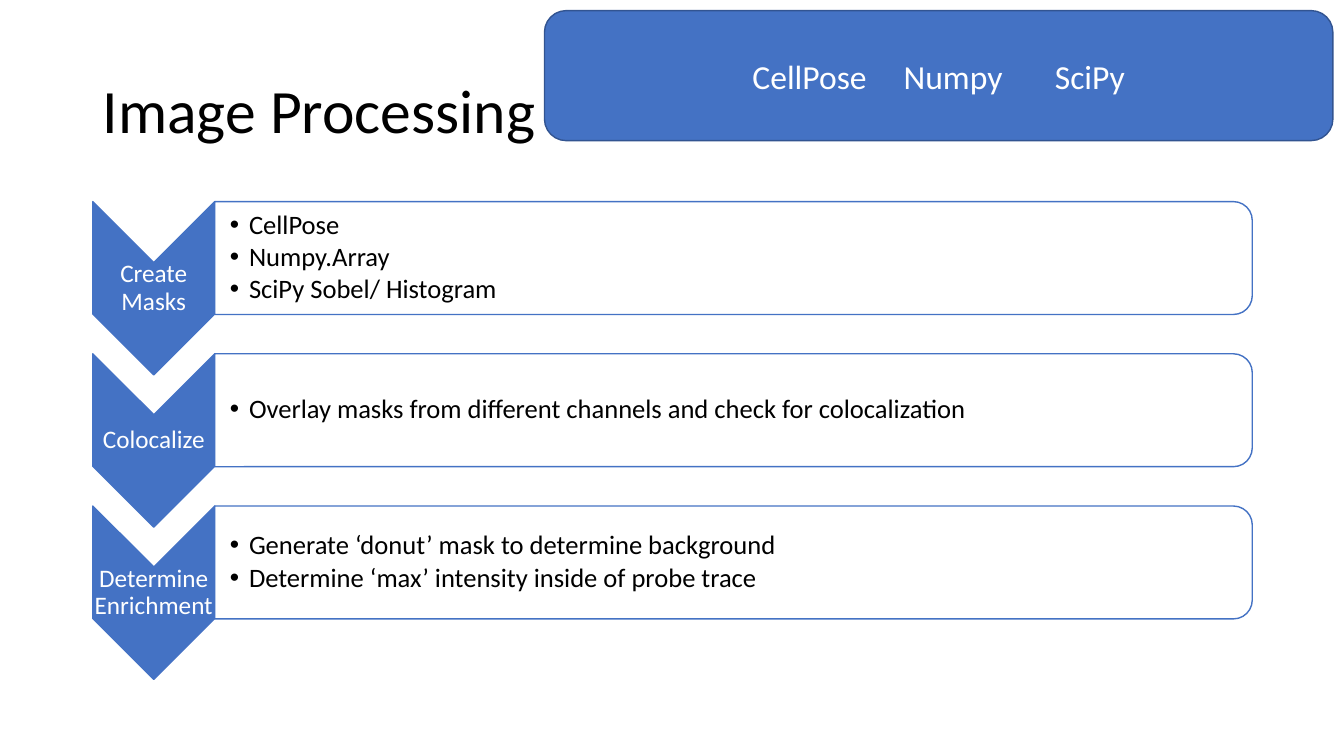
from lxml.etree import SubElement
from pptx import Presentation
from pptx.dml.color import RGBColor
from pptx.enum.shapes import MSO_SHAPE
from pptx.enum.text import MSO_ANCHOR, MSO_AUTO_SIZE, PP_ALIGN
from pptx.oxml.ns import qn
from pptx.util import Inches, Pt

BLUE, DARK_BLUE, WHITE, BLACK = "4472C4", "325491", "FFFFFF", "000000"

deck = Presentation()
deck.slide_width, deck.slide_height = Inches(13.33), Inches(7.5)
slide = deck.slides.add_slide(deck.slide_layouts[5])


def write(holder, lines, size, color=WHITE, align=PP_ALIGN.CENTER,
          spacing=0.9, after=0, insets=None, bullet_indent=None):
    """Fill a shape with one formatted paragraph per line."""
    frame = holder.text_frame
    frame.word_wrap = True
    frame.auto_size = MSO_AUTO_SIZE.NONE
    frame.vertical_anchor = MSO_ANCHOR.MIDDLE
    if insets:
        (frame.margin_left, frame.margin_top,
         frame.margin_right, frame.margin_bottom) = map(Inches, insets)
    for index, line in enumerate(lines):
        paragraph = frame.add_paragraph() if index else frame.paragraphs[0]
        paragraph.alignment = align
        paragraph.line_spacing = spacing
        paragraph.space_after = Pt(after)
        run = paragraph.add_run()
        run.text = line
        run.font.name, run.font.size = "Calibri", Pt(size)
        run.font.color.rgb = RGBColor.from_string(color)
        if bullet_indent:
            properties = paragraph._p.get_or_add_pPr()
            properties.set("marL", str(Inches(bullet_indent)))
            properties.set("indent", str(-Inches(bullet_indent)))
            SubElement(properties, qn("a:buFont"), typeface="Arial")
            SubElement(properties, qn("a:buChar"), char="•")


def draw(preset, center_x, center_y, width, height, fill, line, turn=0):
    """Add a preset shape around its centre, turned by some degrees."""
    shape = slide.shapes.add_shape(
        preset, Inches(center_x - width / 2), Inches(center_y - height / 2),
        Inches(width), Inches(height))
    shape.rotation = turn
    shape.shadow.inherit = False
    shape.fill.solid()
    shape.fill.fore_color.rgb = RGBColor.from_string(fill)
    shape.line.color.rgb = RGBColor.from_string(line)
    shape.line.width = Pt(1)
    return shape


# Title
title = slide.shapes.title
title.left, title.top, title.width, title.height = map(
    Inches, (0.92, 0.4, 11.5, 1.45))
write(title, ["Image Processing"], 44, BLACK, PP_ALIGN.LEFT)

# Steps: a downward chevron and a panel of details in each row
steps = [
    ("Create Masks", ["CellPose", "Numpy.Array", "SciPy Sobel/ Histogram"]),
    ("Colocalize",
     ["Overlay masks from different channels and check for colocalization"]),
    ("Determine Enrichment",
     ["Generate ‘donut’ mask to determine background",
      "Determine ‘max’ intensity inside of probe trace"]),
]
LEFT, TOP, ROW_PITCH = 0.92, 2.0, 1.51
STEP_WIDTH, STEP_HEIGHT = 1.21, 1.72
PANEL_WIDTH, PANEL_HEIGHT = 10.29, 1.12
LABEL_HEIGHT, DETAILS_HEIGHT = 0.52, 1.01
panel_left = LEFT + STEP_WIDTH

for row, (step, details) in enumerate(steps):
    row_top = TOP + row * ROW_PITCH
    step_middle = row_top + STEP_HEIGHT / 2
    panel_middle = row_top + PANEL_HEIGHT / 2

    draw(MSO_SHAPE.CHEVRON, LEFT + STEP_WIDTH / 2, step_middle,
         STEP_HEIGHT, STEP_WIDTH, BLUE, BLUE, turn=90)
    label = slide.shapes.add_textbox(
        Inches(LEFT), Inches(step_middle - LABEL_HEIGHT / 2),
        Inches(STEP_WIDTH), Inches(LABEL_HEIGHT))
    write(label, [step], 18, insets=[0.01] * 4)

    panel = draw(MSO_SHAPE.ROUND_2_SAME_RECTANGLE,
                 panel_left + PANEL_WIDTH / 2, panel_middle,
                 PANEL_HEIGHT, PANEL_WIDTH, WHITE, BLUE, turn=90)
    panel_color = panel.fill._xPr.find(qn("a:solidFill"))[0]
    SubElement(panel_color, qn("a:alpha"), val="90000")
    detail_list = slide.shapes.add_textbox(
        Inches(panel_left), Inches(panel_middle - DETAILS_HEIGHT / 2),
        Inches(PANEL_WIDTH - 0.05), Inches(DETAILS_HEIGHT))
    write(detail_list, details, 19, BLACK, PP_ALIGN.LEFT, after=2.5,
          insets=(0.15, 0.01, 0.01, 0.01), bullet_indent=0.19)

# Libraries banner
banner = draw(MSO_SHAPE.ROUNDED_RECTANGLE, 9.31, 0.75, 7.82, 1.29,
              BLUE, DARK_BLUE)
write(banner, ["CellPose\tNumpy\t\tSciPy"], 24, spacing=1.0)

deck.save("out.pptx")
